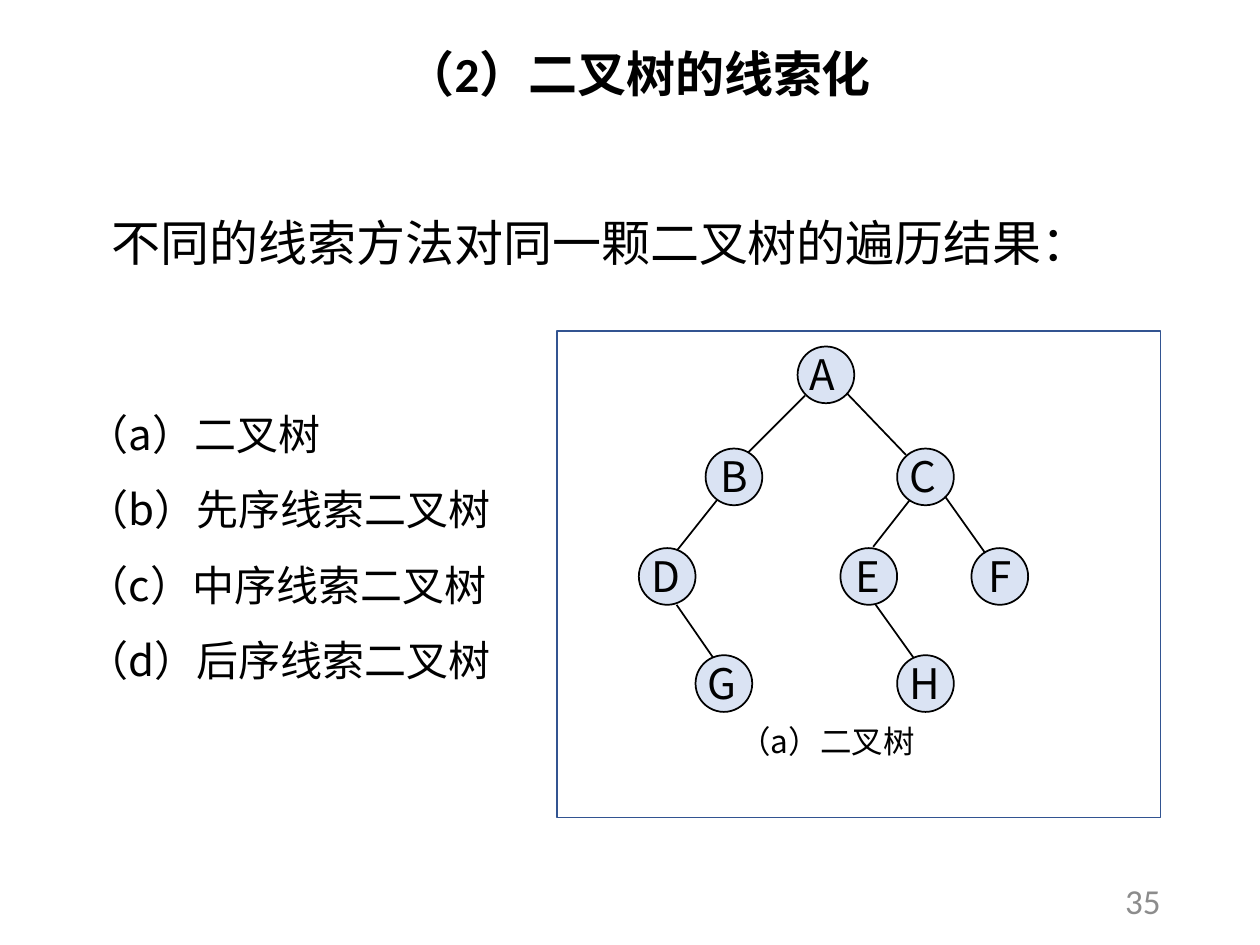
"""Build the slide on threading a binary tree."""
from dataclasses import dataclass

from lxml.etree import SubElement
from pptx import Presentation
from pptx.dml.color import RGBColor
from pptx.enum.shapes import MSO_CONNECTOR, MSO_SHAPE
from pptx.enum.text import MSO_ANCHOR, MSO_AUTO_SIZE, PP_ALIGN
from pptx.oxml.ns import qn
from pptx.util import Inches, Pt

COLORS = {"text": "000000", "node": "DAE3F3", "frame": "325491", "number": "8C8C8C"}
CJK = "Noto Sans CJK SC"
LATIN = "Calibri"
NODE_SIZE = 0.45
LABEL_RISE = 0.03


@dataclass(frozen=True)
class Node:
    label: str
    x: float
    y: float
    label_x: float
    label_w: float


@dataclass(frozen=True)
class Edge:
    x1: float
    y1: float
    x2: float
    y2: float


@dataclass(frozen=True)
class Style:
    size: float
    font: str = CJK
    color: str = "text"
    bold: bool = False
    spacing: float = 1.0
    align: PP_ALIGN = PP_ALIGN.LEFT
    anchor: MSO_ANCHOR = MSO_ANCHOR.TOP
    wrap: bool = True


NODES = [
    Node("A", 6.33, 2.75, 6.33, 0.45),
    Node("B", 5.6, 3.56, 5.62, 0.4),
    Node("C", 7.12, 3.56, 7.12, 0.45),
    Node("D", 5.07, 4.35, 5.07, 0.4),
    Node("E", 6.67, 4.35, 6.69, 0.41),
    Node("F", 7.71, 4.35, 7.75, 0.41),
    Node("G", 5.52, 5.2, 5.52, 0.41),
    Node("H", 7.12, 5.2, 7.12, 0.45),
]
EDGES = [
    Edge(6.72, 3.12, 7.19, 3.61),
    Edge(6.39, 3.14, 5.94, 3.59),
    Edge(5.69, 3.97, 5.38, 4.36),
    Edge(7.22, 3.97, 6.93, 4.34),
    Edge(7.5, 3.94, 7.82, 4.39),
    Edge(5.37, 4.8, 5.66, 5.22),
    Edge(6.95, 4.8, 7.25, 5.22),
]
TREE_KINDS = ["（a）二叉树", "（b）先序线索二叉树", "（c）中序线索二叉树", "（d）后序线索二叉树"]


def rgb(name: str) -> RGBColor:
    return RGBColor.from_string(COLORS[name])


def write(sp, lines: list[str], style: Style) -> None:
    tf = sp.text_frame
    tf.word_wrap = style.wrap
    tf.auto_size = MSO_AUTO_SIZE.NONE
    tf.vertical_anchor = style.anchor
    for i, line in enumerate(lines):
        p = tf.add_paragraph() if i else tf.paragraphs[0]
        p.alignment = style.align
        p.line_spacing = style.spacing
        r = p.add_run()
        r.text = line
        r.font.size = Pt(style.size)
        r.font.bold = style.bold
        r.font.name = style.font
        r.font.color.rgb = rgb(style.color)
        SubElement(r.font._element, qn("a:ea")).set("typeface", CJK)


def add_text(s, box: tuple, lines: list[str], style: Style) -> None:
    write(s.shapes.add_textbox(*map(Inches, box)), lines, style)


def add_outline(s, kind: MSO_SHAPE, box: tuple, line: str, fill: str = ""):
    sp = s.shapes.add_shape(kind, *map(Inches, box))
    sp.shadow.inherit = False
    if fill:
        sp.fill.solid()
        sp.fill.fore_color.rgb = rgb(fill)
    else:
        sp.fill.background()
    sp.line.color.rgb = rgb(line)
    sp.line.width = Pt(1)


def add_node(s, node: Node) -> None:
    add_outline(s, MSO_SHAPE.OVAL, (node.x, node.y, NODE_SIZE, NODE_SIZE), "text", "node")
    add_text(s, (node.label_x, node.y - LABEL_RISE, node.label_w, 0.5), [node.label], Style(24))


def add_edge(s, edge: Edge) -> None:
    ends = map(Inches, (edge.x1, edge.y1, edge.x2, edge.y2))
    cxn = s.shapes.add_connector(MSO_CONNECTOR.STRAIGHT, *ends)
    cxn.line.color.rgb = rgb("text")
    cxn.line.width = Pt(1)
    SubElement(cxn._element.spPr, qn("a:effectLst"))


def main() -> None:
    prs = Presentation()
    prs.slide_width, prs.slide_height = Inches(10), Inches(7.5)
    s = prs.slides.add_slide(prs.slide_layouts[5])

    title = s.shapes.title
    title.left, title.top, title.width, title.height = map(Inches, (3.12, 0.06, 4.02, 0.74))
    write(title, ["（2）二叉树的线索化"], Style(28, LATIN, bold=True, spacing=1.5))

    add_text(s, (7.06, 6.95, 2.25, 0.4), ["35"],
             Style(20, LATIN, "number", align=PP_ALIGN.RIGHT, anchor=MSO_ANCHOR.MIDDLE))
    add_text(s, (0.59, 2.99, 3.44, 2.52), TREE_KINDS, Style(24, spacing=1.5))
    add_text(s, (0.79, 1.4, 8.9, 0.81), ["不同的线索方法对同一颗二叉树的遍历结果："],
             Style(28, spacing=1.5, wrap=False))

    for node in NODES:
        add_node(s, node)
    for edge in EDGES:
        add_edge(s, edge)
    add_text(s, (5.77, 5.68, 2.65, 0.4), TREE_KINDS[:1], Style(18))
    add_outline(s, MSO_SHAPE.RECTANGLE, (4.42, 2.63, 4.79, 3.86), "frame")
    prs.save("out.pptx")


if __name__ == "__main__":
    main()
